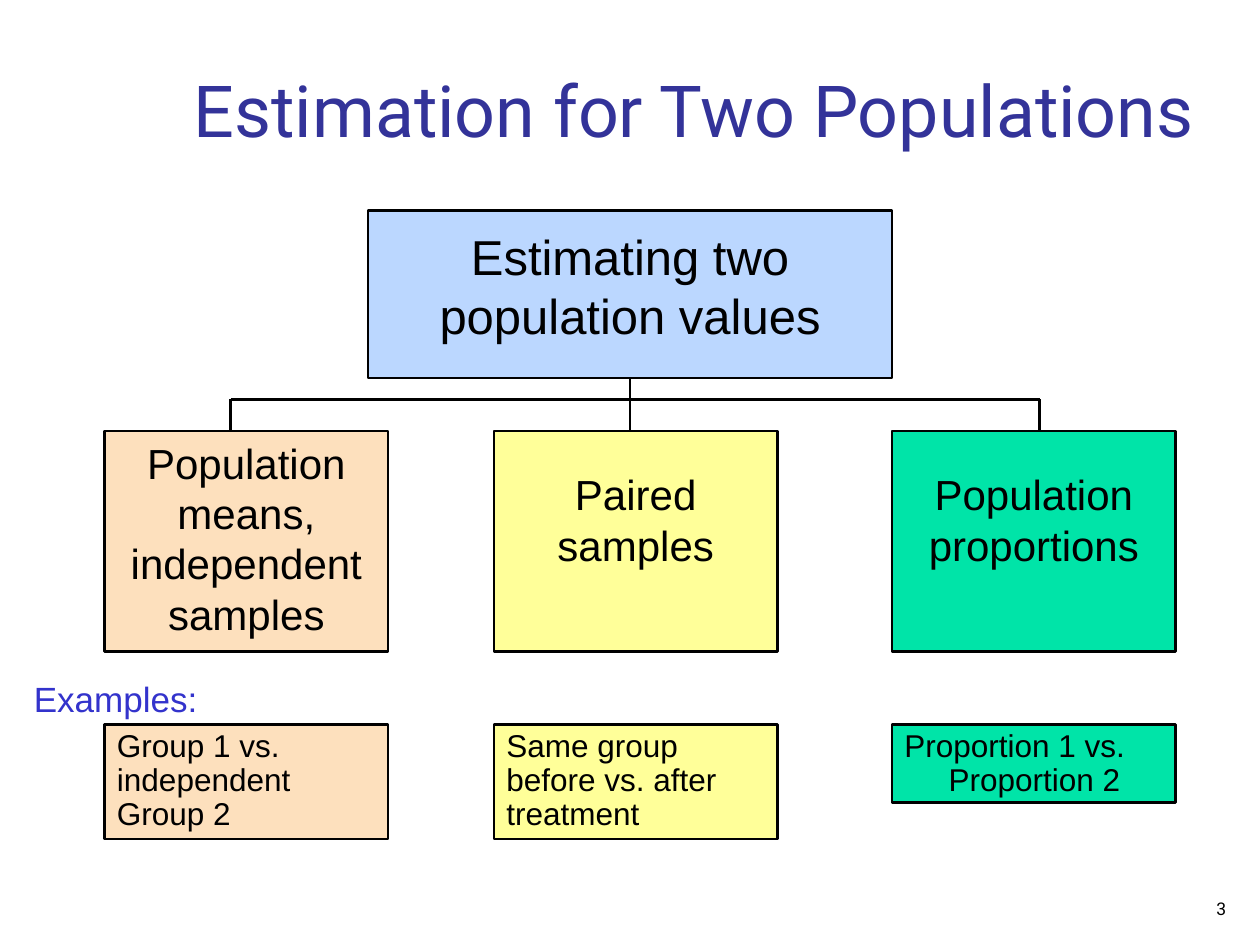
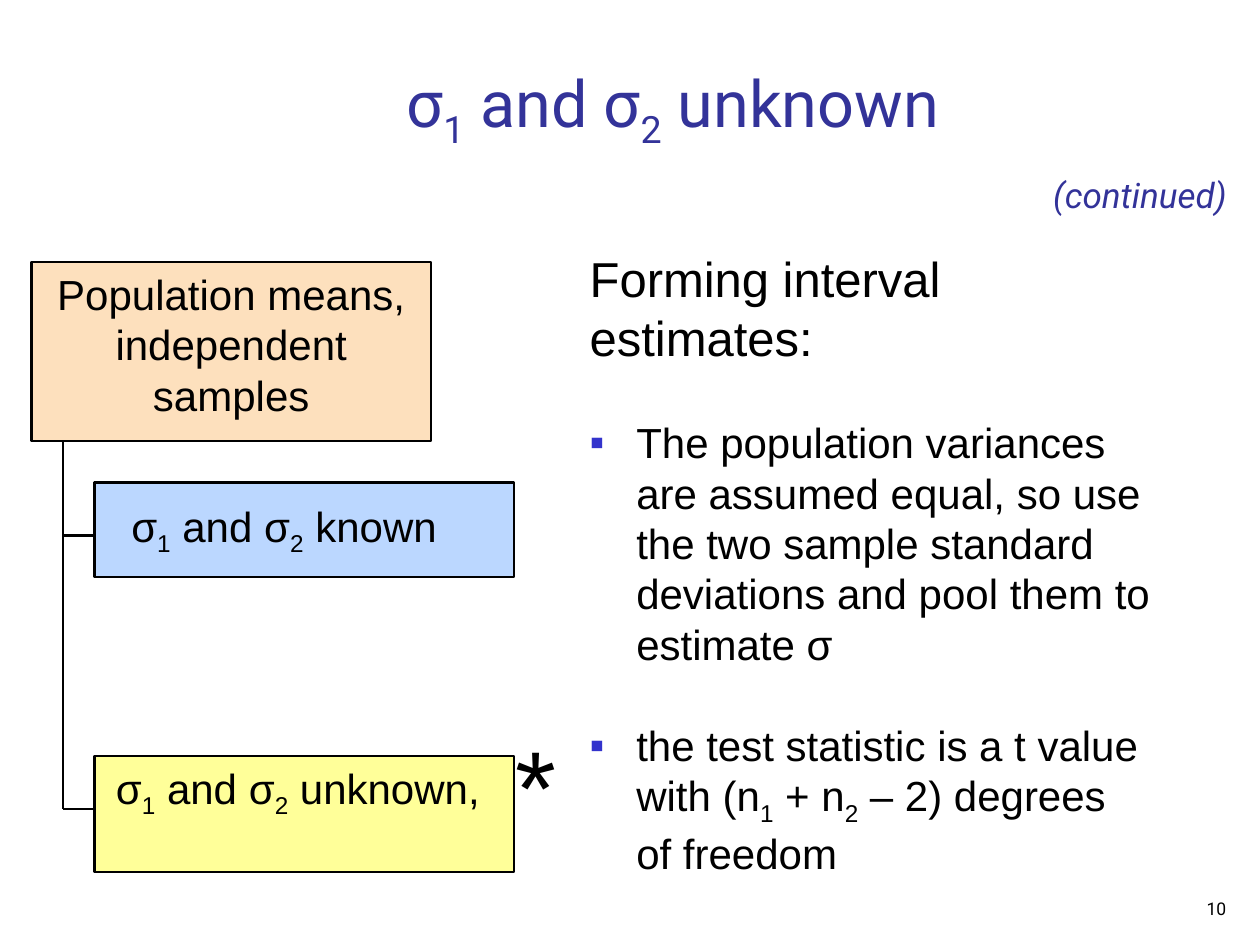
from dataclasses import dataclass

from lxml.etree import SubElement
from pptx import Presentation
from pptx.dml.color import RGBColor
from pptx.enum.shapes import MSO_CONNECTOR, MSO_SHAPE
from pptx.enum.text import MSO_ANCHOR, MSO_AUTO_SIZE, PP_ALIGN
from pptx.oxml.ns import qn
from pptx.util import Inches, Pt


@dataclass(frozen=True)
class Theme:
    ink: str = "000000"
    title: str = "333399"
    accent: str = "3333CC"
    blue: str = "BBD7FF"
    peach: str = "FDE0BD"
    yellow: str = "FFFF99"
    green: str = "00E4A8"
    body_font: str = "Arial"
    title_font: str = "Roboto"
    line: float = 1.5
    head: int = 28
    body: int = 24
    label: int = 20
    example: int = 18
    number: int = 10
    star: int = 60


T = Theme()
LEFT, CENTER, RIGHT = PP_ALIGN.LEFT, PP_ALIGN.CENTER, PP_ALIGN.RIGHT


def write(tf, text, size=T.body, font=T.body_font, color=T.ink, italic=False,
          align=CENTER, spacing=1.0, before=0, margin=0, indent=0, bullet=None):
    """Add a paragraph; "_" lowers the next character, a newline breaks the line."""
    p = tf.paragraphs[0] if not tf.paragraphs[0].runs else tf.add_paragraph()
    p.alignment, p.line_spacing, p.space_before = align, spacing, Pt(before)
    pPr = p._p.get_or_add_pPr()
    pPr.set("marL", str(Inches(margin)))
    pPr.set("indent", str(Inches(indent)))
    if bullet:
        clr = SubElement(pPr, qn("a:buClr"))
        SubElement(clr, qn("a:srgbClr"), val=T.accent)
        SubElement(pPr, qn("a:buFont"), typeface=T.body_font)
        SubElement(pPr, qn("a:buChar"), char=bullet)
    else:
        SubElement(pPr, qn("a:buNone"))
    for n, row in enumerate(text.split("\n")):
        if n:
            p.add_line_break()
        first, *rest = row.split("_")
        pieces = [(first, False)]
        for part in rest:
            pieces += [(part[0], True), (part[1:], False)]
        for piece, lowered in pieces:
            if not piece:
                continue
            r = p.add_run()
            r.text = piece
            r.font.size, r.font.name, r.font.italic = Pt(size), font, italic
            r.font.color.rgb = RGBColor.from_string(color)
            if lowered:
                r._r.get_or_add_rPr().set("baseline", "-25000")


def place(s, at, fill=None, sp=None, anchor=MSO_ANCHOR.TOP, wrap=True,
          top=0.05, right=0.1):
    """Add a box (or move the given placeholder) and prepare its text frame."""
    box = [Inches(v) for v in at]
    if sp is not None:
        sp.left, sp.top, sp.width, sp.height = box
    elif fill:
        sp = s.shapes.add_shape(MSO_SHAPE.RECTANGLE, *box)
        sp.shadow.inherit = False
        sp.fill.solid()
        sp.fill.fore_color.rgb = RGBColor.from_string(fill)
        sp.line.color.rgb = RGBColor.from_string(T.ink)
        sp.line.width = Pt(T.line)
    else:
        sp = s.shapes.add_textbox(*box)
    tf = sp.text_frame
    tf.word_wrap, tf.auto_size, tf.vertical_anchor = wrap, MSO_AUTO_SIZE.NONE, anchor
    tf.margin_left, tf.margin_right = Inches(0.1), Inches(right)
    tf.margin_top, tf.margin_bottom = Inches(top), Inches(0.05)
    return sp


prs = Presentation()
prs.slide_width, prs.slide_height = Inches(10), Inches(7.5)

# Title and page number of each slide: layout, title, place, size, spacing, number
pages = [
    (5, "Estimation for Two Populations", (1.25, 0.5, 8.52, 0.75), 41, 0.8, "3"),
    (1, "σ_1 and σ_2 unknown", (1.08, 0.42, 8.52, 0.83), 37, 1.0, "10"),
]
for layout, title, at, size, spacing, number in pages:
    s = prs.slides.add_slide(prs.slide_layouts[layout])
    sp = place(s, at, sp=s.shapes.title, anchor=MSO_ANCHOR.BOTTOM)
    write(sp.text_frame, title, size=size, font=T.title_font, color=T.title,
          spacing=spacing)
    sp = place(s, (7.75, 7, 2.08, 0.34), anchor=MSO_ANCHOR.BOTTOM)
    write(sp.text_frame, number, size=T.number, font=T.title_font, align=RIGHT)
overview, unknown = prs.slides

# Overview: root box
root = place(overview, (2.92, 1.67, 4.16, 1.33), T.blue, top=0.13)
write(root.text_frame, "Estimating two population values", size=T.head)

# Overview: one column per case, with its example below
columns = [
    (0.83, T.peach, "Population means, independent samples", 0.05,
     "Group 1 vs. independent Group 2", 0.91),
    (3.92, T.yellow, "Paired samples", 0.3,
     "Same group before vs. after treatment", 0.91),
    (7.08, T.green, "Population proportions", 0.3, "Proportion 1 vs.", 0.62),
]
for x, fill, case, top, example, height in columns:
    sp = place(overview, (x, 3.42, 2.25, 1.75), fill, top=top)
    write(sp.text_frame, case)
    sp = place(overview, (x, 5.75, 2.25, height), fill)
    write(sp.text_frame, example, size=T.example, align=LEFT, spacing=0.9)
write(sp.text_frame, "Proportion 2", size=T.example, align=LEFT, spacing=0.5,
      before=6.8, margin=0.35)

sp = place(overview, (0.17, 5.42, 1.67, 0.34))
write(sp.text_frame, "Examples:", size=T.label, color=T.accent, align=LEFT,
      spacing=0.7)

# Unknown variances: tree of cases
cases = [
    ((0.25, 2.08, 3.17, 1.42), T.peach, "Population means, independent samples",
     0.05, 0.1),
    ((0.75, 3.83, 3.33, 0.75), T.blue, "σ_1 and σ_2 known", 0.14, 0.42),
    ((0.75, 6, 3.33, 0.92), T.yellow, "σ_1 and σ_2 unknown,", 0.05, 0.2),
]
for at, fill, text, top, right in cases:
    sp = place(unknown, at, fill, top=top, right=right)
    write(sp.text_frame, text)
sp = place(unknown, (3.92, 5.67, 0.67, 1.1))
write(sp.text_frame, "*", size=T.star)

# Unknown variances: continuation mark and list
sp = place(unknown, (8.26, 1.33, 1.59, 0.44), wrap=False)
write(sp.text_frame, "(continued)", size=T.label, font=T.title_font, color=T.title,
      italic=True, align=LEFT)
sp = place(unknown, (4.58, 1.92, 4.78, 5.09), sp=unknown.placeholders[1])
write(sp.text_frame, "Forming interval estimates:", size=T.head, align=LEFT)
for text in (
    "The population variances are assumed equal, so use the two sample standard "
    "deviations and pool them to estimate σ",
    "the test statistic is a t value with (n_1 + n_2 – 2) degrees\nof freedom",
):
    write(sp.text_frame, text, align=LEFT, before=29, margin=0.37, indent=-0.37,
          bullet="▪")

# Lines of both trees: slide, start, end, shape whose bottom it leaves
lines = [
    (overview, (5, 3), (5, 3.42), root),
    (overview, (1.83, 3.17), (8.25, 3.17), None),
    (overview, (1.83, 3.17), (1.83, 3.42), None),
    (overview, (8.25, 3.17), (8.25, 3.42), None),
    (unknown, (0.5, 3.5), (0.5, 6.42), None),
    (unknown, (0.5, 6.42), (0.75, 6.42), None),
    (unknown, (0.5, 4.25), (0.75, 4.25), None),
]
for s, start, end, parent in lines:
    c = s.shapes.add_connector(MSO_CONNECTOR.STRAIGHT,
                               *[Inches(v) for v in start + end])
    c.line.color.rgb = RGBColor.from_string(T.ink)
    c.line.width = Pt(T.line)
    SubElement(c._element.spPr, qn("a:effectLst"))
    if parent is not None:
        c.begin_connect(parent, 2)

prs.save("out.pptx")
